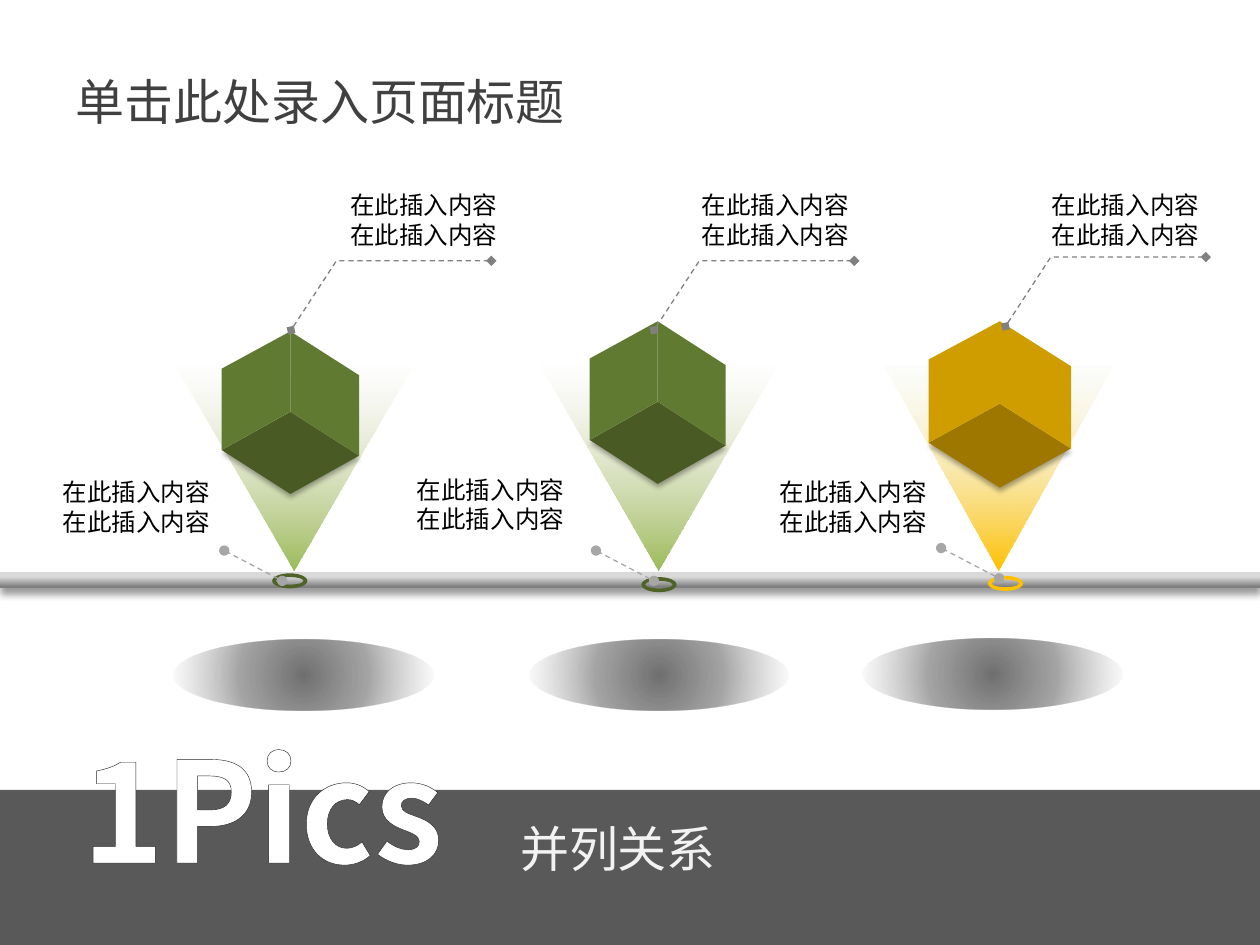
from lxml import etree
from pptx import Presentation
from pptx.dml.color import RGBColor
from pptx.enum.dml import MSO_LINE_DASH_STYLE as Dash
from pptx.enum.shapes import MSO_CONNECTOR as Link, MSO_SHAPE as Preset
from pptx.enum.text import MSO_ANCHOR as Anchor, MSO_AUTO_SIZE as Fit, PP_ALIGN as Align
from pptx.oxml import parse_xml
from pptx.oxml.ns import nsdecls, qn
from pptx.util import Inches, Pt

FONT = "Noto Sans CJK SC"
BLACK = RGBColor(0x00, 0x00, 0x00)
WHITE = RGBColor(0xFF, 0xFF, 0xFF)
TITLE_GRAY = RGBColor(0x40, 0x40, 0x40)
BAND_GRAY = RGBColor(0x59, 0x59, 0x59)
BAND_TEXT = RGBColor(0xF2, 0xF2, 0xF2)
OUTLINE = RGBColor(0x26, 0x26, 0x26)
UPPER_LINE = RGBColor(0x80, 0x80, 0x80)
LOWER_LINE = RGBColor(0xA6, 0xA6, 0xA6)
SILVER = RGBColor(0xD9, 0xD9, 0xD9)
STEEL = RGBColor(0x7F, 0x7F, 0x7F)
SHADE_MID = RGBColor(0x53, 0x53, 0x53)
LIME = RGBColor(0x9B, 0xBB, 0x59)
SAND = RGBColor(0xDD, 0xD9, 0xC3)
PALE_LIME = RGBColor(0xEB, 0xF1, 0xDE)
DARK_GREEN = RGBColor(0x4F, 0x62, 0x28)
GOLD = RGBColor(0xFF, 0xC0, 0x00)
GREEN_SIDE = RGBColor(0x61, 0x7A, 0x31)
GREEN_BASE = RGBColor(0x4A, 0x5A, 0x25)
GOLD_SIDE = RGBColor(0xCF, 0x9D, 0x00)
GOLD_BASE = RGBColor(0x9E, 0x77, 0x00)

GREEN = {"beam": [(0, LIME, 100), (100, SAND, 0)], "side": GREEN_SIDE,
         "base": GREEN_BASE, "ring": DARK_GREEN}
YELLOW = {"beam": [(0, GOLD, 100), (100, PALE_LIME, 13)], "side": GOLD_SIDE,
          "base": GOLD_BASE, "ring": GOLD}
BAR_STOPS = [(0, SILVER, 100), (30, SILVER, 100), (90, STEEL, 100), (100, UPPER_LINE, 100)]
SHADE_STOPS = [(0, TITLE_GRAY, 75), (48, SHADE_MID, 52), (100, UPPER_LINE, 0)]
DOWNWARD = '<a:lin ang="5400000" scaled="0"/>'
RADIAL = ('<a:path path="circle"><a:fillToRect l="50000" t="50000" '
          'r="50000" b="50000"/></a:path>')
CAPTION = ["在此插入内容", "在此插入内容"]

COLUMNS = [
    {"theme": GREEN, "beam": (1.38, 2.88, 1.91, 1.65), "cube": (1.76, 2.63, 1.09, 1.29),
     "shade": (1.38, 5.08), "ring": (2.16, 4.55), "upper": (2.31, 2.07),
     "lower": (1.78, 4.37), "upper_text": (2.68, 1.46), "lower_text": (0.4, 3.74)},
    {"theme": GREEN, "beam": (4.27, 2.88, 1.91, 1.65), "cube": (4.68, 2.55, 1.08, 1.29),
     "shade": (4.2, 5.08), "ring": (5.09, 4.58), "upper": (5.19, 2.07),
     "lower": (4.73, 4.37), "upper_text": (5.47, 1.46), "lower_text": (3.21, 3.72)},
    {"theme": YELLOW, "beam": (7.02, 2.91, 1.81, 1.62), "cube": (7.37, 2.55, 1.13, 1.32),
     "shade": (6.85, 5.07), "ring": (7.84, 4.57), "upper": (7.98, 2.04),
     "lower": (7.47, 4.35), "upper_text": (8.25, 1.46), "lower_text": (6.09, 3.74)},
]


def set_format(target, values):
    for name, value in values.items():
        setattr(target, name, value)


def add_plain(slide, preset, box, color=None):
    shape = slide.shapes.add_shape(preset, *map(Inches, box))
    shape.line.fill.background()
    shape.shadow.inherit = False
    if color is not None:
        shape.fill.solid()
        shape.fill.fore_color.rgb = color
    return shape


def add_gradient(shape, stops, direction):
    shape.fill.background()
    listed = "".join(
        f'<a:gs pos="{place * 1000}"><a:srgbClr val="{color}">'
        f'<a:alpha val="{alpha * 1000}"/></a:srgbClr></a:gs>'
        for place, color, alpha in stops)
    gradient = parse_xml(f'<a:gradFill {nsdecls("a")} rotWithShape="1">'
                         f'<a:gsLst>{listed}</a:gsLst>{direction}</a:gradFill>')
    properties = shape._element.spPr
    properties.replace(properties.find(qn("a:noFill")), gradient)


def add_shadow(shape, alpha, blur, distance):
    shape._element.spPr.find(qn("a:effectLst")).append(parse_xml(
        f'<a:outerShdw {nsdecls("a")} blurRad="{Pt(blur)}" dist="{Pt(distance)}" '
        f'dir="5400000" algn="t" rotWithShape="0"><a:srgbClr val="{BLACK}">'
        f'<a:alpha val="{alpha * 1000}"/></a:srgbClr></a:outerShdw>'))


def style_leader(leader, color, marker):
    set_format(leader.line, {"width": Pt(0.75), "dash_style": Dash.DASH})
    leader.line.color.rgb = color
    for end in ("a:headEnd", "a:tailEnd"):
        etree.SubElement(leader.line._ln, qn(end), type=marker)
    properties = leader._element.spPr
    if properties.find(qn("a:effectLst")) is None:
        etree.SubElement(properties, qn("a:effectLst"))


def fill_text(frame, lines, size, color, align=Align.LEFT, bold=False):
    for index, line in enumerate(lines):
        paragraph = frame.add_paragraph() if index else frame.paragraphs[0]
        paragraph.alignment = align
        run = paragraph.add_run()
        run.text = line
        set_format(run.font, {"name": FONT, "size": Pt(size), "bold": bold})
        run.font.color.rgb = color
        latin = run.font._element.find(qn("a:latin"))
        latin.addnext(parse_xml(f'<a:ea {nsdecls("a")} typeface="{FONT}"/>'))


def add_text(slide, box, lines, size, color, wrap=False, bold=False):
    frame = slide.shapes.add_textbox(*map(Inches, box)).text_frame
    set_format(frame, {"word_wrap": wrap, "auto_size": Fit.SHAPE_TO_FIT_TEXT})
    fill_text(frame, lines, size, color, bold=bold)
    return frame


def add_cube(slide, box, side, base):
    left, top, width, height = box
    peak, center, bottom = (0.5, 0), (0.5, 0.495), (0.5, 1)
    left_high, left_low = (0, 0.23), (0, 0.73)
    right_high, right_low = (1, 0.27), (1, 0.765)
    faces = [
        ([left_low, center, right_low, bottom], base),
        ([peak, left_high, left_low, center], side),
        ([peak, right_high, right_low, center], side),
    ]
    for corners, color in faces:
        points = [(Inches(left + x * width), Inches(top + y * height)) for x, y in corners]
        builder = slide.shapes.build_freeform(*points[0])
        builder.add_line_segments(points[1:])
        face = builder.convert_to_shape()
        face.fill.solid()
        face.fill.fore_color.rgb = color
        face.line.fill.background()
        face.shadow.inherit = False
        if color == base:
            add_shadow(face, 35, 3.1, 1.8)


def add_upper_leader(slide, left, top):
    builder = slide.shapes.build_freeform(Inches(left), Inches(top + 0.55))
    builder.add_line_segments([(Inches(left + 0.36), Inches(top)),
                               (Inches(left + 1.59), Inches(top))], close=False)
    leader = builder.convert_to_shape()
    leader.fill.background()
    leader.shadow.inherit = False
    style_leader(leader, UPPER_LINE, "diamond")


def add_lower_leader(slide, left, top):
    ends = (left + 0.46, top + 0.24, left, top)
    leader = slide.shapes.add_connector(Link.STRAIGHT, *map(Inches, ends))
    style_leader(leader, LOWER_LINE, "oval")


def add_column(slide, column):
    theme = column["theme"]
    beam = add_plain(slide, Preset.ISOSCELES_TRIANGLE, column["beam"])
    beam._element.spPr.find(qn("a:xfrm")).set("flipV", "1")
    add_gradient(beam, theme["beam"], DOWNWARD)
    add_cube(slide, column["cube"], theme["side"], theme["base"])
    shade = add_plain(slide, Preset.OVAL, (*column["shade"], 2.06, 0.56))
    add_gradient(shade, SHADE_STOPS, RADIAL)
    add_plain(slide, Preset.DONUT, (*column["ring"], 0.28, 0.12), theme["ring"])
    add_upper_leader(slide, *column["upper"])
    add_lower_leader(slide, *column["lower"])
    for place in ("upper_text", "lower_text"):
        add_text(slide, (*column[place], 1.38, 0.57), CAPTION, 14, BLACK)


def add_bar(slide, box):
    bar = add_plain(slide, Preset.RECTANGLE, box)
    add_gradient(bar, BAR_STOPS, DOWNWARD)
    add_shadow(bar, 40, 4, 3)


def add_footer(slide, box):
    left, top, _, _ = box
    add_plain(slide, Preset.RECTANGLE, box, BAND_GRAY)
    add_text(slide, (left + 4.03, top + 0.18, 1.77, 0.57), ["并列关系"], 28, BAND_TEXT)
    label = add_text(slide, (left + 0.55, top - 0.58, 3.86, 1.45), ["1Pics"], 80, WHITE,
                     wrap=True, bold=True)
    label.paragraphs[0].runs[0].font._element.insert(0, parse_xml(
        f'<a:ln {nsdecls("a")} w="{Pt(1.5)}"><a:solidFill>'
        f'<a:srgbClr val="{OUTLINE}"/></a:solidFill></a:ln>'))


def add_title(slide, box):
    title = slide.shapes.title
    set_format(title, dict(zip(("left", "top", "width", "height"), map(Inches, box))))
    title.text_frame.vertical_anchor = Anchor.MIDDLE
    fill_text(title.text_frame, ["单击此处录入页面标题"], 28, TITLE_GRAY)


def main():
    deck = Presentation()
    set_format(deck, {"slide_width": Inches(10), "slide_height": Inches(7.5)})
    slide = deck.slides.add_slide(deck.slide_layouts[5])
    add_bar(slide, (0, 4.54, 10, 0.13))
    for column in COLUMNS:
        add_column(slide, column)
    add_footer(slide, (0, 6.27, 10, 1.23))
    add_title(slide, (0.5, 0.3, 9, 1.01))
    deck.save("out.pptx")


if __name__ == "__main__":
    main()
